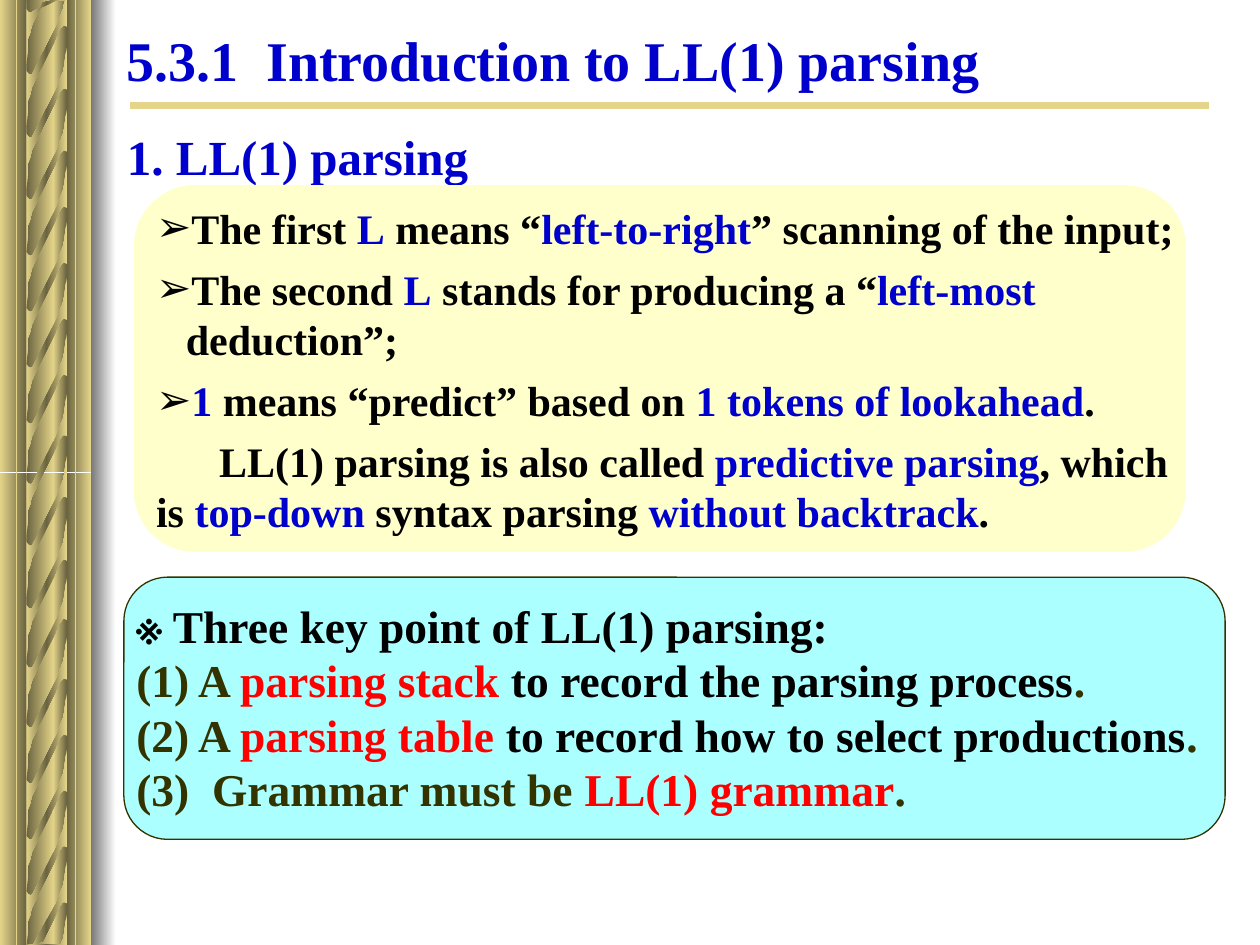
"""Build the slide that introduces LL(1) parsing."""
from lxml import etree
from pptx import Presentation
from pptx.dml.color import RGBColor
from pptx.enum import shapes, text
from pptx.oxml.ns import qn
from pptx.util import Pt

THEME = {
    "font": "Times New Roman",
    "sizes": {"title": 32, "heading": 28, "meaning": 24, "key": 26},
    "colors": {
        "blue": "0000CC", "black": "000000", "red": "FF0000", "olive": "333300",
        "cream": "FFFFCC", "cyan": "ABFFFF", "gold": "E5D58A", "bronze": "6A6340",
        "gray": "767676", "white": "FFFFFF",
    },
}

TITLE = [[("5.3.1  Introduction to LL(1) parsing", "blue")]]
HEADING = [[("1. LL(1) parsing", "blue")]]
MEANINGS = [
    [("The first ", "black"), ("L", "blue"), (" means “", "black"),
     ("left-to-right", "blue"), ("” scanning of the input;", "black")],
    [("The second ", "black"), ("L", "blue"), (" stands for producing a “", "black"),
     ("left-most", "blue"), (" deduction”;", "black")],
    [("1", "blue"), (" means “predict” based on ", "black"),
     ("1 tokens of lookahead", "blue"), (".", "black")],
    [("LL(1) parsing is also called ", "black"), ("predictive parsing", "blue"),
     (", which is ", "black"), ("top-down", "blue"), (" syntax parsing ", "black"),
     ("without backtrack", "blue"), (".", "black")],
]
KEY_POINTS = [
    [("※ Three key point of LL(1) parsing:", "black")],
    [("(1) A ", "olive"), ("parsing stack ", "red"),
     ("to record the parsing process", "black"), (".", "olive")],
    [("(2) A ", "olive"), ("parsing table ", "red"),
     ("to record how to select productions", "black"), (".", "olive")],
    [("(3)  Grammar must be ", "olive"), ("LL(1) grammar", "red"), (".", "olive")],
]

WIDTH, HEIGHT = 720, 540
COLUMN_BARS = [
    (30.25, 7.9, ("gold", "bronze")), (0, 15.1, ("gold", "bronze")),
    (15.1, 15.8, ("bronze", "gold")), (38.2, 13.7, ("bronze", "gold")),
]
STRAND = [
    (38.2, 6.5), (38.2, 24), (37.4, 23.2), (36, 23.2), (35.3, 24), (33.8, 26),
    (31, 32.4), (24.5, 45.4), (18, 59), (17.3, 62.6), (15.8, 66.5), (15.8, 72.4),
    (15.1, 80.6), (15.1, 45.4), (15.1, 49), (15.8, 50.4), (16.6, 51.1),
    (18, 51.3), (18.7, 50.4), (32.4, 23.6), (34.6, 17.2), (36, 13.8),
    (36.7, 10.3), (37.4, 4.7), (38.2, 0),
]
STRAND_TOPS = [-43.9, -8.6, 27.3, 62.8, 95, 127, 159, 191, 225.4, 260.6,
               296.6, 330.5, 364.5, 396.5, 428.5, 460.3, 492.3, 522.7]


def color(name):
    return RGBColor.from_string(THEME["colors"][name])


def paint(shape, fill, line=None):
    shape.shadow.inherit = False
    if isinstance(fill, str):
        shape.fill.solid()
        shape.fill.fore_color.rgb = color(fill)
    else:
        shape.fill.gradient()
        shape.fill.gradient_angle = 0
        stops = next(shape._element.iter(qn("a:gsLst")))
        for stop in list(stops):
            stops.remove(stop)
        for i, name in enumerate(fill):
            stop = etree.SubElement(stops, qn("a:gs"), pos=str(100000 * i // (len(fill) - 1)))
            etree.SubElement(stop, qn("a:srgbClr"), val=THEME["colors"][name])
    if line:
        shape.line.color.rgb = color(line)
        shape.line.width = Pt(0.75)
    else:
        shape.line.fill.background()


def add_panel(slide, kind, box, fill, line=None):
    paint(slide.shapes.add_shape(kind, *map(Pt, box)), fill, line)


def add_rule(slide, start, end, width):
    rule = slide.shapes.add_connector(shapes.MSO_CONNECTOR.STRAIGHT, *map(Pt, start + end))
    rule.line.color.rgb = color("gold")
    rule.line.width = Pt(width)
    etree.SubElement(rule._element.spPr, qn("a:effectLst"))


def add_strand(slide, top):
    points = [(Pt(x), Pt(min(max(top + y, 0), HEIGHT))) for x, y in STRAND]
    builder = slide.shapes.build_freeform(*points[0])
    builder.add_line_segments(points[1:])
    paint(builder.convert_to_shape(), ("gold", "bronze", "gold"))


def set_bullet(paragraph, bulleted):
    props = paragraph._p.get_or_add_pPr()
    props.set("marL", str(Pt(17) if bulleted else 0))
    props.set("indent", str(Pt(-17) if bulleted else Pt(36)))
    if bulleted:
        tint = etree.SubElement(props, qn("a:buClr"))
        etree.SubElement(tint, qn("a:srgbClr"), val=THEME["colors"]["black"])
        etree.SubElement(props, qn("a:buChar"), char="➢")
    else:
        etree.SubElement(props, qn("a:buNone"))


def write(holder, box, paragraphs, size, gap=0, bullets=0, anchor=text.MSO_ANCHOR.TOP):
    for side, value in zip(("left", "top", "width", "height"), box):
        setattr(holder, side, Pt(value))
    frame = holder.text_frame
    layout = {"word_wrap": True, "auto_size": text.MSO_AUTO_SIZE.NONE,
              "vertical_anchor": anchor}
    for name, value in layout.items():
        setattr(frame, name, value)
    for i, parts in enumerate(paragraphs):
        paragraph = frame.paragraphs[0] if i == 0 else frame.add_paragraph()
        if bullets:
            set_bullet(paragraph, i < bullets)
        spacing = {"alignment": text.PP_ALIGN.LEFT, "space_before": Pt(gap if i else 0)}
        for name, value in spacing.items():
            setattr(paragraph, name, value)
        for words, tint in parts:
            run = paragraph.add_run()
            run.text = words
            style = {"name": THEME["font"], "size": Pt(THEME["sizes"][size]), "bold": True}
            for name, value in style.items():
                setattr(run.font, name, value)
            run.font.color.rgb = color(tint)


def main():
    deck = Presentation()
    deck.slide_width, deck.slide_height = Pt(WIDTH), Pt(HEIGHT)
    slide = deck.slides.add_slide(deck.slide_layouts[1])
    title, meanings = slide.placeholders
    rectangle = shapes.MSO_SHAPE.RECTANGLE
    rounded = shapes.MSO_SHAPE.FLOWCHART_ALTERNATE_PROCESS

    for top in (0, HEIGHT / 2):
        for left, width, fill in COLUMN_BARS:
            add_panel(slide, rectangle, (left, top, width, HEIGHT / 2), fill)
    for top in STRAND_TOPS:
        add_strand(slide, top)
    add_panel(slide, rectangle, (51.8, 0, 14.4, HEIGHT), ("gray", "white"))
    for x in (9.4, 43.2):
        add_rule(slide, (x, 0), (x, HEIGHT), 1)
    add_rule(slide, (74.2, 60.3), (691, 60.3), 4.5)

    heading = slide.shapes.add_textbox(0, 0, 0, 0)
    write(heading, (65.5, 68.5, 374, 41), HEADING, "heading")
    add_panel(slide, rounded, (70.8, 329.8, 629.3, 149.8), "cyan", "olive")
    key_points = slide.shapes.add_textbox(0, 0, 0, 0)
    write(key_points, (70.8, 338, 629.3, 132.5), KEY_POINTS, "key")
    add_panel(slide, rounded, (76.5, 105.8, 601, 209.5), "cream")
    for holder in (meanings, title):
        slide.shapes._spTree.append(holder._element)
    write(meanings, (82, 112, 608, 198), MEANINGS, "meaning", gap=6, bullets=3)
    write(title, (65, 9.5, 553.5, 48), TITLE, "title", anchor=text.MSO_ANCHOR.MIDDLE)
    deck.save("out.pptx")


if __name__ == "__main__":
    main()
